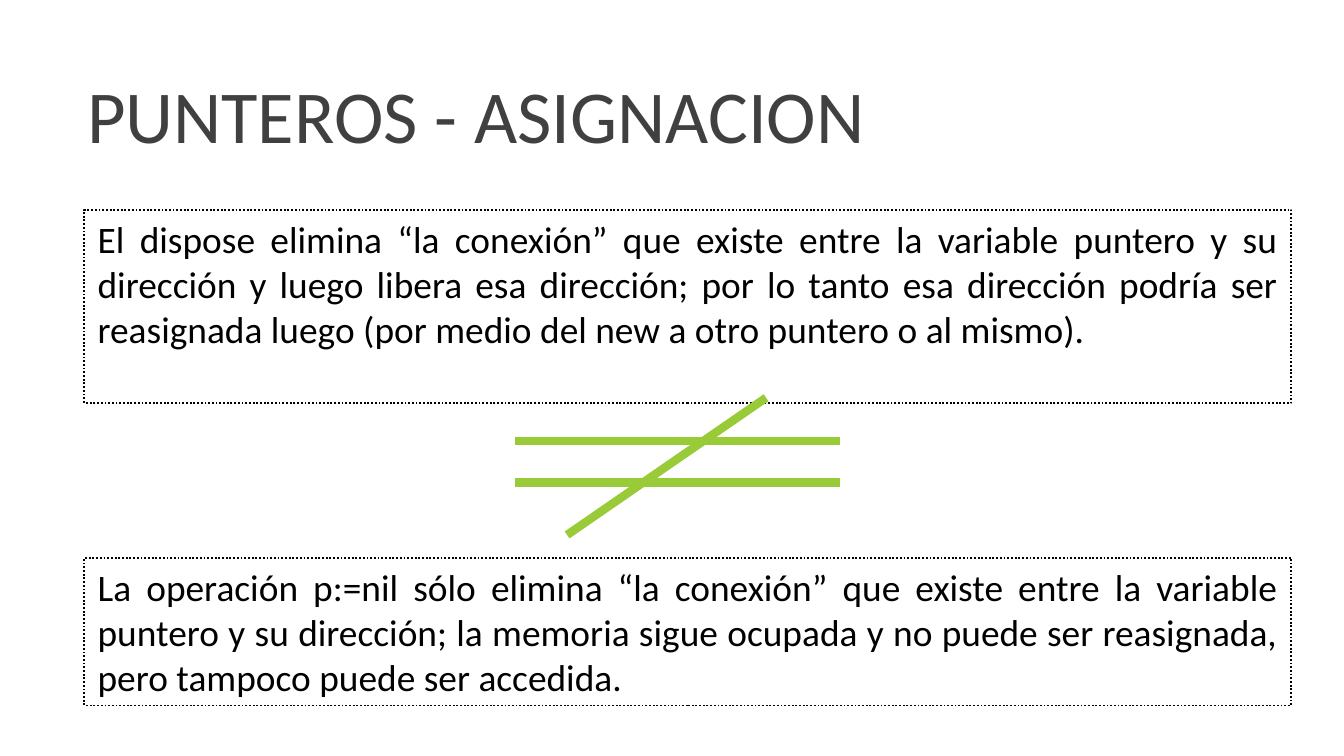
from typing import NamedTuple

from pptx import Presentation
from pptx.dml.color import RGBColor
from pptx.enum import dml, shapes, text
from pptx.oxml.ns import qn
from pptx.util import Pt
from lxml import etree

FONT = "Calibri"
BLACK, GREY, GREEN = "000000", "404040", "99CB38"


class Note(NamedTuple):
    top: float
    height: float
    content: str


class Stroke(NamedTuple):
    x1: float
    y1: float
    x2: float
    y2: float


NOTES = [
    Note(112.3, 103.7,
         "El dispose elimina “la conexión” que existe entre la variable puntero y su "
         "dirección y luego libera esa dirección; por lo tanto esa dirección podría ser "
         "reasignada luego (por medio del new a otro puntero o al mismo)."),
    Note(298.8, 79.2,
         "La operación p:=nil sólo elimina “la conexión” que existe entre la variable "
         "puntero y su dirección; la memoria sigue ocupada y no puede ser reasignada, "
         "pero tampoco puede ser accedida."),
]

NOT_EQUAL = [
    Stroke(275.8, 236.2, 450, 236.2),
    Stroke(275.8, 258.5, 450, 258.5),
    Stroke(303.8, 286.6, 410.4, 213.1),
]


def rgb(color: str) -> RGBColor:
    return RGBColor.from_string(color)


def write(tf, content: str, size: float, color: str, align) -> None:
    tf.word_wrap = True
    p = tf.paragraphs[0]
    p.alignment = align
    r = p.add_run()
    r.text = content
    r.font.name = FONT
    r.font.size = Pt(size)
    r.font.color.rgb = rgb(color)


def add_title(s, content: str) -> None:
    tf = s.shapes.add_textbox(Pt(39.6), Pt(9.4), Pt(671.8), Pt(79.2)).text_frame
    tf.vertical_anchor = text.MSO_ANCHOR.BOTTOM
    write(tf, content, 40, GREY, text.PP_ALIGN.LEFT)
    tf.paragraphs[0].line_spacing = 0.85


def add_note(s, note: Note) -> None:
    sp = s.shapes.add_shape(shapes.MSO_SHAPE.RECTANGLE,
                            Pt(45.2), Pt(note.top), Pt(646.6), Pt(note.height))
    sp.shadow.inherit = False
    sp.fill.background()
    sp.line.color.rgb = rgb(BLACK)
    sp.line.width = Pt(1)
    sp.line.dash_style = dml.MSO_LINE.ROUND_DOT  # written as sysDot
    sp.text_frame.vertical_anchor = text.MSO_ANCHOR.TOP
    write(sp.text_frame, note.content, 20, BLACK, text.PP_ALIGN.JUSTIFY)


def add_stroke(s, stroke: Stroke) -> None:
    line = s.shapes.add_connector(shapes.MSO_CONNECTOR.STRAIGHT, *map(Pt, stroke))
    line.line.color.rgb = rgb(GREEN)
    line.line.width = Pt(4.5)
    etree.SubElement(line._element.spPr, qn("a:effectLst"))


def main() -> None:
    prs = Presentation()
    prs.slide_width, prs.slide_height = Pt(720), Pt(405)
    s = prs.slides.add_slide(prs.slide_layouts[6])
    add_title(s, "PUNTEROS - ASIGNACION")
    for note in NOTES:
        add_note(s, note)
    for stroke in NOT_EQUAL:
        add_stroke(s, stroke)
    prs.save("out.pptx")


if __name__ == "__main__":
    main()
